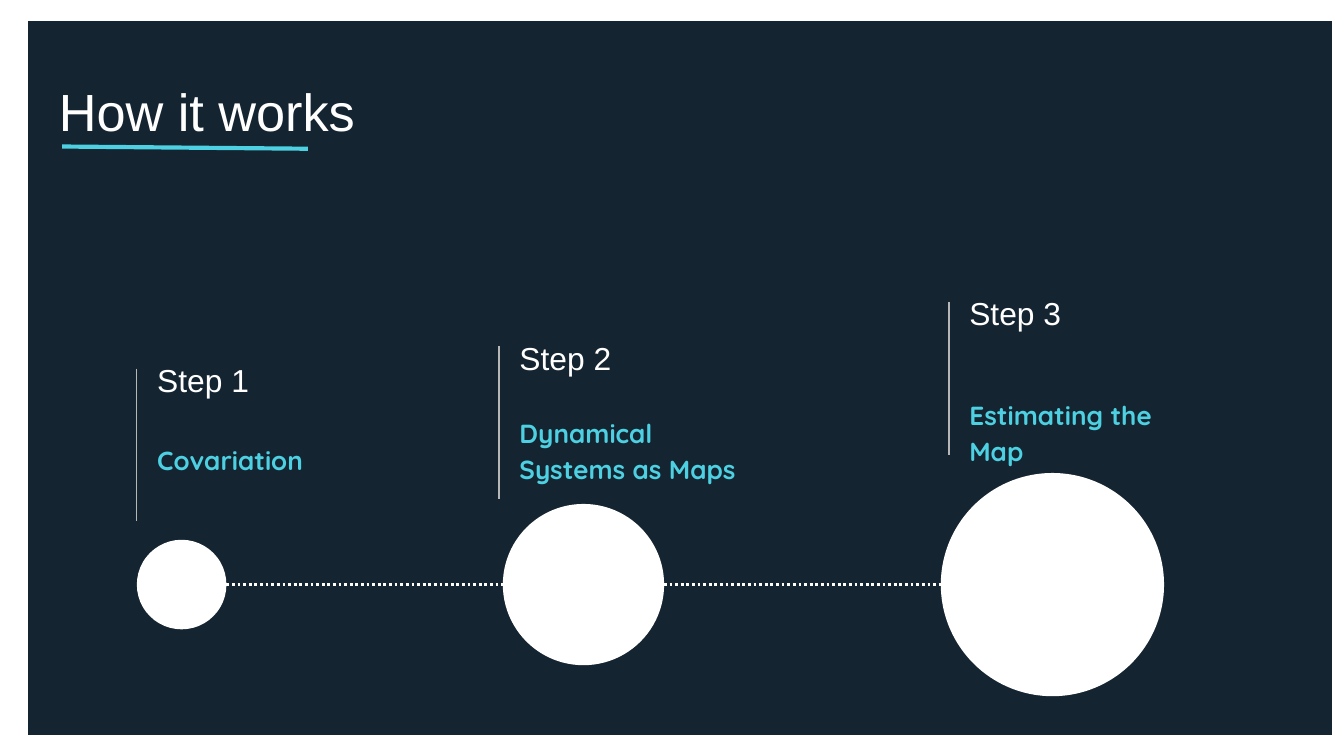
from lxml.etree import SubElement
from pptx import Presentation
from pptx.dml.color import RGBColor
from pptx.enum.dml import MSO_LINE
from pptx.enum.shapes import MSO_CONNECTOR, MSO_SHAPE
from pptx.enum.text import MSO_ANCHOR
from pptx.oxml.ns import qn
from pptx.util import Pt

COLORS = {
    "background": "212121",
    "overlay": "0C273F",
    "overlay_edge": "303030",
    "white": "FFFFFF",
    "rule": "B7B7B7",
    "accent": "4DD0E1",
}
INSET = 7.2
TEXT_WIDTH = 142.5
RULE_HEIGHT = 81.8
AXIS_Y = 313.2

# heading, caption, rule x, rule top, caption top, circle left, circle diameter
STEPS = [
    ("Step 1", "Covariation", 73.3, 197.5, 228.2, 73.3, 48),
    ("Step 2", "Dynamical Systems as Maps", 267.4, 185.6, 213.8, 269.4, 86.4),
    ("Step 3", "Estimating the Map", 508.4, 161.8, 204.2, 504, 119.6),
]


def color(name):
    return RGBColor.from_string(COLORS[name])


def add_shape(slide, kind, left, top, width, height,
              fill=None, line=None, weight=0.75, opacity=100):
    shape = slide.shapes.add_shape(kind, Pt(left), Pt(top), Pt(width), Pt(height))
    shape.shadow.inherit = False
    if fill:
        shape.fill.solid()
        shape.fill.fore_color.rgb = color(fill)
        if opacity < 100:
            tint = shape.fill._xPr.find(qn("a:solidFill"))[0]
            SubElement(tint, qn("a:alpha"), val=str(opacity * 1000))
    else:
        shape.fill.background()
    if line:
        shape.line.color.rgb = color(line)
        shape.line.width = Pt(weight)
    else:
        shape.line.fill.background()


def add_line(slide, start, end, line, weight, dash=None):
    connector = slide.shapes.add_connector(
        MSO_CONNECTOR.STRAIGHT, *(Pt(value) for value in (*start, *end)))
    connector.line.color.rgb = color(line)
    connector.line.width = Pt(weight)
    if dash:
        connector.line.dash_style = dash
    SubElement(connector._element.spPr, qn("a:effectLst"))


def add_text(slide, text, left, top, width, height, size, font, tint,
             bold=False, anchor=MSO_ANCHOR.TOP, spacing=None):
    box = slide.shapes.add_textbox(Pt(left), Pt(top), Pt(width), Pt(height))
    frame = box.text_frame
    frame.word_wrap = True
    frame.vertical_anchor = anchor
    frame.margin_left = frame.margin_right = Pt(INSET)
    frame.margin_top = frame.margin_bottom = Pt(INSET)
    para = frame.paragraphs[0]
    if spacing:
        para.line_spacing = spacing
    span = para.add_run()
    span.text = text
    span.font.size = Pt(size)
    span.font.name = font
    span.font.bold = bold
    span.font.color.rgb = color(tint)


def add_step(slide, heading, caption, rule_x, rule_top, caption_top):
    add_line(slide, (rule_x, rule_top), (rule_x, rule_top + RULE_HEIGHT), "rule", 0.75)
    text_left = rule_x + 3.8
    add_text(slide, heading, text_left, rule_top - 9.6, TEXT_WIDTH, 31, 17,
             "Arial", "white", anchor=MSO_ANCHOR.MIDDLE)
    add_text(slide, caption, text_left, caption_top, TEXT_WIDTH, 31, 14,
             "Quicksand", "accent", bold=True, spacing=1.15)


def main():
    deck = Presentation()
    deck.slide_width, deck.slide_height = Pt(720), Pt(405)
    slide = deck.slides.add_slide(deck.slide_layouts[6])
    slide.background.fill.solid()
    slide.background.fill.fore_color.rgb = color("background")

    # Tinted backdrop and white frame
    add_shape(slide, MSO_SHAPE.RECTANGLE, -2.2, 0, 724.3, 405,
              fill="overlay", line="overlay_edge", opacity=54)
    add_shape(slide, MSO_SHAPE.RECTANGLE, 6, 2.2, 716.4, 400.5,
              line="white", weight=18)

    # Title
    add_text(slide, "How it works", 24.5, 35.3, 671, 45.4, 28, "Arial", "white")

    # Step texts with their side rules
    for step in STEPS:
        add_step(slide, *step[:5])

    # Timeline: dotted axis under growing circles
    first_left, first_size = STEPS[0][5:]
    add_line(slide, (first_left + first_size, AXIS_Y), (STEPS[-1][5], AXIS_Y),
             "white", 1.5, MSO_LINE.ROUND_DOT)
    for *_, left, size in STEPS:
        add_shape(slide, MSO_SHAPE.OVAL, left, AXIS_Y - size / 2, size, size, fill="white")

    # Title underline
    add_line(slide, (33.3, 78.5), (164.9, 79.7), "accent", 2.25)

    deck.save("out.pptx")


if __name__ == "__main__":
    main()
